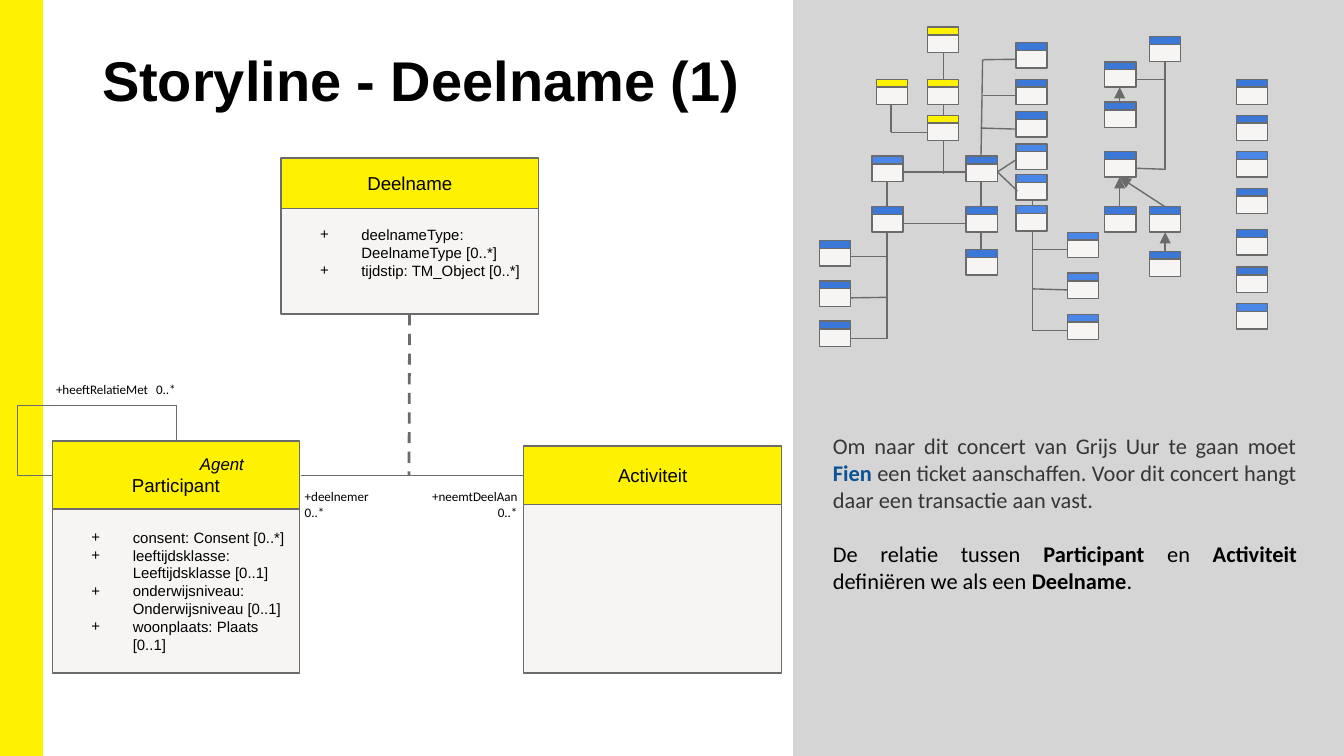
from dataclasses import dataclass

from lxml import etree
from pptx import Presentation
from pptx import util as u
from pptx.dml.color import RGBColor
from pptx.enum import dml, shapes, text
from pptx.oxml import ns


@dataclass(frozen=True)
class Theme:
    yellow: str = "FFF200"
    panel: str = "D5D5D5"
    body: str = "F6F5F3"
    edge: str = "6B6B6B"
    azure: str = "3C78D8"
    sky: str = "4A86E8"
    ink: str = "000000"
    grey: str = "373636"
    navy: str = "0B5394"
    sans: str = "Arial"
    prose: str = "Calibri"
    title: float = 30
    story: float = 12
    head: float = 10
    small: float = 9
    field: float = 8
    role: float = 7
    thin: float = 0.75
    thick: float = 1.5


T = Theme()
LEFT, MID, RIGHT = text.PP_ALIGN.LEFT, text.PP_ALIGN.CENTER, text.PP_ALIGN.RIGHT

# Columns of the small class map: left edge, then tops by head colour (cm)
MAP = [
    (15.49, {T.azure: (4.55, 5.31, 6.07)}),
    (16.48, {T.sky: (2.95,), T.azure: (3.91,)}),
    (16.56, {T.yellow: (1.5,)}),
    (17.53, {T.yellow: (0.51, 1.5, 2.18)}),
    (18.26, {T.azure: (2.95, 3.91, 4.72)}),
    (19.2, {T.azure: (0.81, 1.5, 2.11), T.sky: (2.72, 3.3, 3.89)}),
    (20.17, {T.sky: (4.39, 5.16, 5.94)}),
    (20.88, {T.azure: (1.17, 1.93, 2.87, 3.91)}),
    (21.72, {T.azure: (0.69, 3.91, 4.75)}),
    (23.37, {T.azure: (1.5, 2.18, 3.56, 4.34, 5.05), T.sky: (2.87, 5.74)}),
]
# Links as x1, y1, x2, y2 (cm)
LINKS = [
    (17.83, 0.99, 17.83, 1.5), (17.83, 1.98, 17.83, 2.18), (17.83, 2.67, 17.83, 3.28),
    (16.84, 1.98, 16.84, 2.5), (16.84, 2.5, 17.53, 2.5),
    (17.07, 3.25, 18.26, 3.25), (17.07, 4.22, 18.26, 4.22),
    (16.76, 3.43, 16.76, 3.91), (16.76, 4.39, 16.76, 6.4),
    (16.08, 4.85, 16.76, 4.85), (16.08, 5.63, 16.76, 5.62), (16.08, 6.4, 16.76, 6.4),
    (18.54, 3.43, 18.54, 3.91), (18.54, 4.39, 18.54, 4.72),
    (18.54, 2.95, 18.57, 1.13), (18.57, 1.13, 19.2, 1.12),
    (18.57, 1.8, 19.2, 1.8), (18.53, 2.42, 19.2, 2.44),
    (18.85, 3.25, 19.2, 3.02), (18.85, 3.25, 19.23, 3.61),
    (19.51, 3.78, 19.51, 3.89), (19.51, 4.39, 19.51, 6.25),
    (19.51, 4.72, 20.17, 4.72), (19.52, 5.46, 20.17, 5.48), (19.51, 6.25, 20.17, 6.25),
    (22.02, 1.17, 22.02, 3.22), (21.46, 3.18, 22.02, 3.2), (21.46, 1.5, 22.02, 1.5),
]
ARROWS = [
    (21.16, 1.93, 21.16, 1.65), (21.16, 3.91, 21.16, 3.35),
    (22.02, 3.91, 21.16, 3.35), (22.02, 4.75, 22.02, 4.39),
]


def cms(*vals):
    return [u.Cm(v) for v in vals]


def paint(run, size, face=T.sans, tint=T.ink, bold=False, slant=False):
    font = run.font
    font.size, font.name, font.bold, font.italic = u.Pt(size), face, bold, slant
    font.color.rgb = RGBColor.from_string(tint)


def box(host, at, fill, edge=T.edge, width=T.thin):
    shape = host.add_shape(shapes.MSO_SHAPE.RECTANGLE, *cms(*at))
    shape.shadow.inherit = False
    shape.fill.solid()
    shape.fill.fore_color.rgb = RGBColor.from_string(fill)
    if edge:
        shape.line.color.rgb = RGBColor.from_string(edge)
        shape.line.width = u.Pt(width)
    else:
        shape.line.fill.background()
    return shape


def frame(shape, pad=(0.25, 0.25, 0.25, 0.25), anchor=text.MSO_ANCHOR.TOP):
    area = shape.text_frame
    area.word_wrap, area.vertical_anchor = True, anchor
    (area.margin_left, area.margin_top,
     area.margin_right, area.margin_bottom) = cms(*pad)
    return area


def write(area, lines, size, face=T.sans, align=LEFT, **look):
    area.text = "\n".join(lines)
    for para in area.paragraphs:
        para.alignment = align
        for run in para.runs:
            paint(run, size, face, **look)


def label(host, at, lines, size, face=T.prose, align=LEFT, **look):
    area = frame(host.add_textbox(*cms(*at)))
    write(area, lines, size, face, align, **look)
    return area


def indent(para, left, first=0):
    prop = para._p.get_or_add_pPr()
    prop.set("marL", str(u.Cm(left)))
    prop.set("indent", str(u.Cm(first)))
    return prop


def plus(para):
    """Give the paragraph a hanging plus sign as its bullet."""
    prop = indent(para, 1.27, -0.78)
    tint = etree.SubElement(prop, ns.qn("a:buClr"))
    etree.SubElement(tint, ns.qn("a:srgbClr"), val=T.ink)
    etree.SubElement(prop, ns.qn("a:buFont"), typeface=T.sans)
    etree.SubElement(prop, ns.qn("a:buChar"), char="+")


def link(host, ends, width=T.thin, kind=shapes.MSO_CONNECTOR.STRAIGHT, tip=False):
    wire = host.add_connector(kind, *cms(*ends))
    wire.line.color.rgb = RGBColor.from_string(T.edge)
    wire.line.width = u.Pt(width)
    if tip:
        etree.SubElement(wire.line._get_or_add_ln(), ns.qn("a:tailEnd"), type="triangle")
    etree.SubElement(wire._element.spPr, ns.qn("a:effectLst"))
    return wire


def loop(host):
    """Draw the link that runs from the class back to itself."""
    wire = link(host, (0.99, 8.99, 3.34, 8.34), kind=shapes.MSO_CONNECTOR.ELBOW)
    geom = wire._element.spPr.find(ns.qn("a:prstGeom"))
    geom.set("prst", "bentConnector4")
    guides = geom.find(ns.qn("a:avLst"))
    if guides is None:
        guides = etree.SubElement(geom, ns.qn("a:avLst"))
    for name, val in (("adj1", -28200), ("adj2", 203300)):
        etree.SubElement(guides, ns.qn("a:gd"), name=name, fmla=f"val {val}")


def card(host, left, top, width, high, tall, names, fields=(), foot=0.25):
    """Draw a class: head of height high, whole of height tall."""
    body = box(host, (left, top + high, width, tall - high), T.body)
    if fields:
        area = frame(body, (0.25, 0.25, 0.25, foot), text.MSO_ANCHOR.MIDDLE)
        write(area, fields, T.field)
        for para in area.paragraphs:
            plus(para)
    area = frame(box(host, (left, top, width, high), T.yellow),
                 anchor=text.MSO_ANCHOR.MIDDLE)
    write(area, names, T.head, align=MID)
    return area


def chart(host):
    """Draw the small class map."""
    for left, heads in MAP:
        for tint, tops in heads.items():
            for top in tops:
                group = host.add_group_shape().shapes
                box(group, (left, top + 0.15, 0.59, 0.33), T.body)
                box(group, (left, top, 0.59, 0.15), tint)
    for ends in LINKS:
        link(host, ends)
    for ends in ARROWS:
        link(host, ends, tip=True)


def story(host):
    area = frame(host.add_textbox(*cms(15.49, 7.92, 9.27, 4.11)))
    parts = [
        [("Om naar dit concert van Grijs Uur te gaan moet ", T.grey, False),
         ("Fien", T.navy, True),
         (" een ticket aanschaffen. Voor dit concert hangt daar een transactie aan vast. ",
          T.grey, False)],
        [("De relatie tussen ", T.ink, False), ("Participant", T.ink, True),
         (" en ", T.ink, False), ("Activiteit", T.ink, True),
         (" definiëren we als een ", T.ink, False), ("Deelname", T.ink, True),
         (".", T.ink, False)],
    ]
    area.text = "\n".join("" for _ in parts)
    for para, runs in zip(area.paragraphs, parts):
        para.alignment = text.PP_ALIGN.JUSTIFY
        for words, tint, bold in runs:
            run = para.add_run()
            run.text = words
            paint(run, T.story, T.prose, tint, bold)
    area.paragraphs[1].space_before = u.Pt(14.65)


def model(host):
    """Draw the three classes and the links between them."""
    head = card(host, 0.99, 8.34, 4.67, 1.28, 4.38, ["Agent", "Participant"],
                ["consent: Consent [0..*]", "leeftijdsklasse: Leeftijdsklasse [0..1]",
                 "onderwijsniveau: Onderwijsniveau [0..1]", "woonplaats: Plaats [0..1]"])
    agent = head.paragraphs[0]
    agent.alignment = LEFT
    indent(agent, 2.54)
    paint(agent.runs[0], T.small, slant=True)
    card(host, 9.9, 8.43, 4.87, 1.11, 4.29, ["Activiteit"])
    card(host, 5.31, 2.99, 4.87, 0.95, 2.95, ["Deelname"],
         ["deelnameType: DeelnameType [0..*]", "tijdstip: TM_Object [0..*]"], foot=0.58)
    link(host, (5.68, 8.99, 9.9, 8.99))
    label(host, (5.51, 8.99, 2.36, 1.12), ["+deelnemer", "0..*"], T.role)
    label(host, (7.67, 8.99, 2.36, 1.12), ["+neemtDeelAan", "0..*"], T.role, align=RIGHT)
    link(host, (7.74, 5.94, 7.73, 8.99), T.thick).line.dash_style = dml.MSO_LINE.DASH
    loop(host)
    area = label(host, (0.81, 7.06, 3.25, 0.81), ["+heeftRelatieMet\t0..*"], T.role)
    tabs = etree.SubElement(area.paragraphs[0]._p.get_or_add_pPr(), ns.qn("a:tabLst"))
    etree.SubElement(tabs, ns.qn("a:tab"), pos=str(u.Cm(1.89)), algn="l")


def main():
    deck = Presentation()
    deck.slide_width, deck.slide_height = cms(25.4, 14.29)
    host = deck.slides.add_slide(deck.slide_layouts[6]).shapes
    box(host, (0, 0, 0.79, 14.29), T.yellow, T.yellow, 1)
    box(host, (14.99, 0, 10.41, 14.29), T.panel, None)
    area = label(host, (1.75, 0.76, 12.8, 1.52), ["Storyline - Deelname (1)"],
                 T.title, T.sans, bold=True)
    area.margin_left, area.margin_top, area.margin_right, area.margin_bottom = cms(
        0.18, 0.1, 0.18, 0.1)
    story(host)
    chart(host)
    model(host)
    deck.save("out.pptx")


if __name__ == "__main__":
    main()
